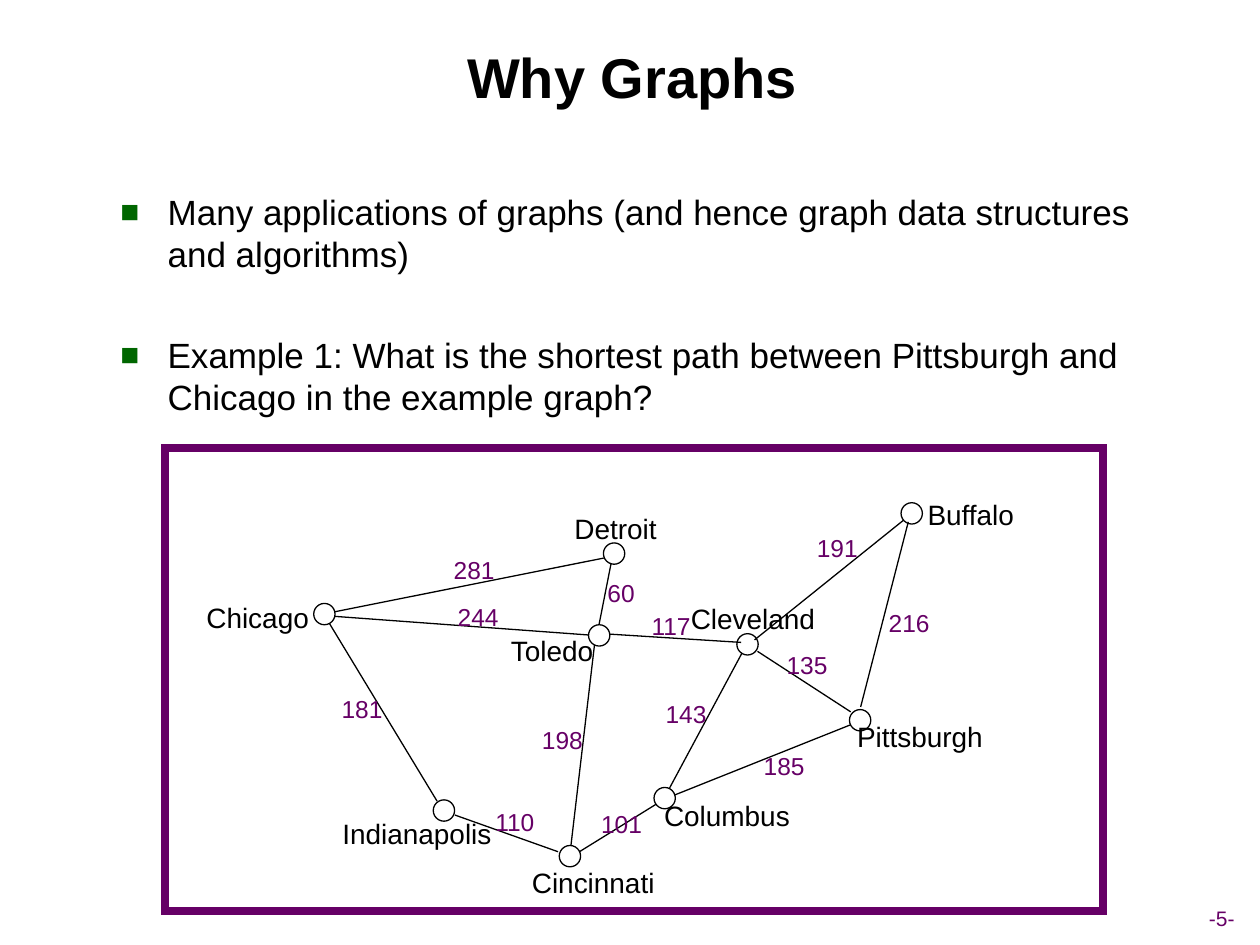
from dataclasses import dataclass
from typing import NamedTuple

from lxml import etree
from pptx import Presentation
from pptx import util as u
from pptx.dml import color
from pptx.enum import shapes, text
from pptx.oxml import ns


@dataclass(frozen=True)
class Theme:
    font: str = "Arial"
    ink: color.RGBColor = color.RGBColor(0, 0, 0)
    accent: color.RGBColor = color.RGBColor(0x66, 0, 0x66)
    paper: color.RGBColor = color.RGBColor(0xFF, 0xFF, 0xFF)
    bullet: str = "006600"
    title: float = 32
    body: float = 20
    city: float = 16
    miles: float = 14
    page: float = 12
    thin: float = 0.75
    frame: float = 4.5


THEME = Theme()
NODE_SIZE = 0.43


class Point(NamedTuple):
    x: float
    y: float


class Box(NamedTuple):
    left: float
    top: float
    width: float
    height: float

    def lengths(self) -> tuple:
        return tuple(u.Cm(side) for side in self)


class City(NamedTuple):
    name: str
    center: Point
    label: Box
    on_top: bool = False  # a filled node lying over the road ends


class Road(NamedTuple):
    miles: str
    start: Point
    end: Point
    label_center: Point


def city(name: str, x: float, y: float, left: float, top: float,
         width: float, on_top: bool = False) -> City:
    return City(name, Point(x, y), Box(left, top, width, 0.94), on_top)


CITIES = [
    city("Detroit", 12.38, 11.16, 11.33, 10.19, 2.16),
    city("Toledo", 12.08, 12.81, 10.01, 12.65, 2.24, True),
    city("Cleveland", 15.07, 12.99, 13.67, 12.01, 3.02),
    city("Buffalo", 18.38, 10.35, 18.44, 9.91, 2.26),
    city("Pittsburgh", 17.34, 14.52, 17.02, 14.38, 3.05),
    city("Columbus", 13.40, 16.09, 13.13, 15.98, 3.05),
    city("Cincinnati", 11.49, 17.26, 10.42, 17.32, 3.08),
    city("Chicago", 6.54, 12.38, 3.91, 11.99, 2.57, True),
    city("Indianapolis", 8.95, 16.34, 6.65, 16.33, 3.51),
]

ROADS = [
    Road("117", Point(14.94, 12.95), Point(12.24, 12.78), Point(13.53, 12.61)),
    Road("191", Point(15.21, 12.90), Point(18.21, 10.49), Point(16.88, 11.04)),
    Road("135", Point(17.15, 14.35), Point(15.27, 13.13), Point(16.27, 13.40)),
    Road("281", Point(12.17, 11.25), Point(6.71, 12.34), Point(9.56, 11.49)),
    Road("143", Point(13.49, 15.90), Point(14.96, 13.16), Point(13.83, 14.39)),
    Road("110", Point(11.25, 17.17), Point(9.17, 16.43), Point(10.38, 16.57)),
    Road("101", Point(13.23, 16.21), Point(11.68, 17.17), Point(12.53, 16.60)),
    Road("181", Point(8.81, 16.15), Point(6.63, 12.55), Point(7.30, 14.29)),
    Road("216", Point(17.35, 14.25), Point(18.31, 10.52), Point(18.33, 12.56)),
    Road("185", Point(17.15, 14.61), Point(13.59, 16.03), Point(15.81, 15.43)),
    Road("60", Point(12.32, 11.35), Point(12.07, 12.62), Point(12.52, 11.95)),
    Road("198", Point(11.51, 17.04), Point(11.99, 12.95), Point(11.34, 14.92)),
    Road("244", Point(6.68, 12.42), Point(11.86, 12.80), Point(9.64, 12.43)),
]

POINTS = [
    "Many applications of graphs (and hence graph data structures and algorithms)",
    "Example 1: What is the shortest path between Pittsburgh and Chicago in the example graph?",
]


def centered_box(center: Point, width: float, height: float) -> Box:
    return Box(center.x - width / 2, center.y - height / 2, width, height)


def format_runs(paragraph, size: float, ink: color.RGBColor, bold: bool = False) -> None:
    for run in paragraph.runs:
        run.font.name = THEME.font
        run.font.size = u.Pt(size)
        run.font.color.rgb = ink
        run.font.bold = bold


def add_label(slide, words: str, box: Box, size: float, ink: color.RGBColor) -> None:
    frame = slide.shapes.add_textbox(*box.lengths()).text_frame
    frame.word_wrap = False
    frame.auto_size = text.MSO_AUTO_SIZE.SHAPE_TO_FIT_TEXT
    frame.text = words
    frame.paragraphs[0].alignment = text.PP_ALIGN.CENTER
    format_runs(frame.paragraphs[0], size, ink)


def add_outline(slide, kind, box: Box, ink: color.RGBColor, weight: float,
                filled: bool = False) -> None:
    outline = slide.shapes.add_shape(kind, *box.lengths())
    outline.shadow.inherit = False
    if filled:
        outline.fill.solid()
        outline.fill.fore_color.rgb = THEME.paper
    else:
        outline.fill.background()
    outline.line.color.rgb = ink
    outline.line.width = u.Pt(weight)
    # Square corners
    etree.SubElement(outline.line._get_or_add_ln(), ns.qn("a:miter"), lim="800000")


def add_node(slide, place: City) -> None:
    add_outline(slide, shapes.MSO_SHAPE.OVAL,
                centered_box(place.center, NODE_SIZE, NODE_SIZE),
                THEME.ink, THEME.thin, place.on_top)


def add_road(slide, road: Road) -> None:
    line = slide.shapes.add_connector(
        shapes.MSO_CONNECTOR.STRAIGHT,
        *(u.Cm(value) for value in (*road.start, *road.end)))
    line.line.color.rgb = THEME.ink
    line.line.width = u.Pt(THEME.thin)
    etree.SubElement(line._element.spPr, ns.qn("a:effectLst"))


def add_title(slide, words: str) -> None:
    title = slide.shapes.title
    title.left, title.top, title.width, title.height = Box(0.97, 0.33, 23.55, 2.41).lengths()
    title.text_frame.text = words
    title.text_frame.vertical_anchor = text.MSO_ANCHOR.MIDDLE
    title.text_frame.paragraphs[0].alignment = text.PP_ALIGN.CENTER
    format_runs(title.text_frame.paragraphs[0], THEME.title, THEME.ink, bold=True)


def add_bullet(paragraph) -> None:
    props = paragraph._p.get_or_add_pPr()
    indent = u.Cm(0.95)
    props.set("marL", str(indent))
    props.set("indent", str(-indent))
    tint = etree.SubElement(props, ns.qn("a:buClr"))
    etree.SubElement(tint, ns.qn("a:srgbClr"), val=THEME.bullet)
    etree.SubElement(props, ns.qn("a:buSzPct"), val="90000")
    etree.SubElement(props, ns.qn("a:buFont"), typeface=THEME.font)
    etree.SubElement(props, ns.qn("a:buChar"), char="■")


def add_points(slide, points: list[str]) -> None:
    frame = slide.shapes.add_textbox(*Box(2.18, 3.71, 21.29, 5.2).lengths()).text_frame
    frame.word_wrap = True
    frame.text = "\n".join(points)
    for index, paragraph in enumerate(frame.paragraphs):
        paragraph.space_before = u.Pt(34 if index else 5)
        add_bullet(paragraph)
        format_runs(paragraph, THEME.body, THEME.ink)


def main() -> None:
    deck = Presentation()
    deck.slide_width, deck.slide_height = u.Cm(25.4), u.Cm(19.05)
    slide = deck.slides.add_slide(deck.slide_layouts[5])

    # Heading, bullets and page number
    add_title(slide, "Why Graphs")
    add_points(slide, POINTS)
    add_label(slide, "-5-", Box(23.27, 18.14, 2.72, 0.76), THEME.page, THEME.accent)

    # Open nodes, then the roads between them
    for place in CITIES:
        if not place.on_top:
            add_node(slide, place)
    for road in ROADS:
        add_road(slide, road)

    # City names and distances
    for place in CITIES:
        add_label(slide, place.name, place.label, THEME.city, THEME.ink)
    for road in ROADS:
        width = 0.5 + 0.28 * len(road.miles)
        add_label(slide, road.miles, centered_box(road.label_center, width, 0.84),
                  THEME.miles, THEME.accent)

    # Frame, and the filled nodes above everything
    add_outline(slide, shapes.MSO_SHAPE.RECTANGLE, Box(3.33, 9.04, 18.9, 9.32),
                THEME.accent, THEME.frame)
    for place in CITIES:
        if place.on_top:
            add_node(slide, place)

    deck.save("out.pptx")


if __name__ == "__main__":
    main()
